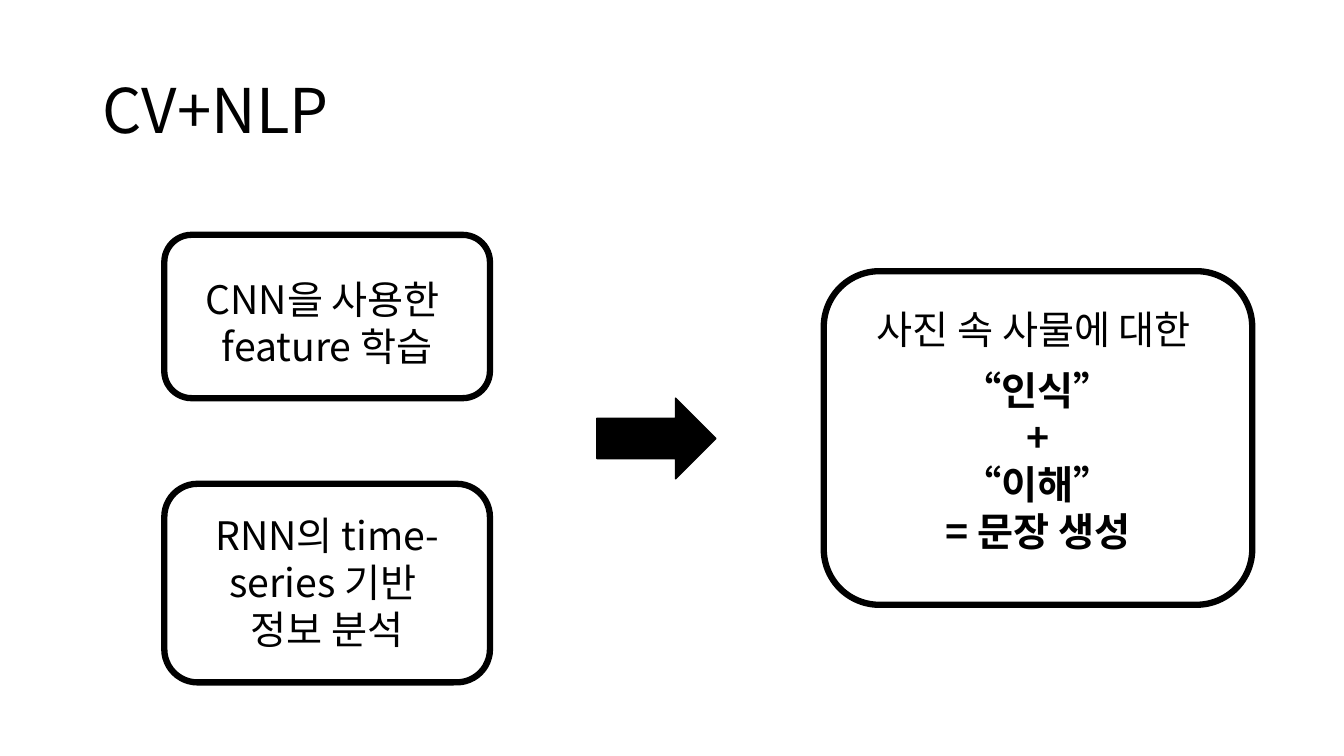
from pptx import Presentation
from pptx.dml.color import RGBColor
from pptx.enum.shapes import MSO_SHAPE
from pptx.enum.text import MSO_ANCHOR, PP_ALIGN
from pptx.oxml.ns import qn
from pptx.util import Inches, Pt

ROUND, ARROW = MSO_SHAPE.ROUNDED_RECTANGLE, MSO_SHAPE.RIGHT_ARROW
TOP, MIDDLE = MSO_ANCHOR.TOP, MSO_ANCHOR.MIDDLE
LEFT, CENTER = PP_ALIGN.LEFT, PP_ALIGN.CENTER
FONT = "Noto Sans CJK KR"
COLORS = {"ink": "000000", "paper": "FFFFFF"}

TITLE = "CV+NLP"
TITLE_AT = (0.92, 0.4, 11.5, 1.45)
ARROW_AT = (5.92, 3.95, 1.18, 0.8)
# place, top inset, then lines as (text, bold, points before)
BOXES = [
    ((1.63, 2.33, 3.23, 1.62), 0.32,
     [("CNN을 사용한 ", False, 0), ("feature 학습", False, 0)]),
    ((1.63, 4.8, 3.23, 1.97), 0.18,
     [("RNN의 time-series 기반 ", False, 0), ("정보 분석", False, 0)]),
    ((8.17, 2.69, 4.25, 3.31), 0.18,
     [("사진 속 사물에 대한 ", False, 0), ("“인식”", True, 9.6),
      ("+", True, 0), ("“이해”", True, 0), ("= 문장 생성", True, 0)]),
]


def color(name):
    return RGBColor.from_string(COLORS[name])


def write(para, text, align, **style):
    """Fill a paragraph with one run in the slide's font."""
    para.alignment = align
    run = para.add_run()
    run.text = text
    for key, value in {"name": FONT, **style}.items():
        setattr(run.font, key, value)
    run.font.color.rgb = color("ink")
    east = run.font._element.makeelement(qn("a:ea"), {"typeface": FONT})
    run.font._element.find(qn("a:latin")).addnext(east)


def draw(slide, kind, place, fill, width):
    shape = slide.shapes.add_shape(kind, *map(Inches, place))
    shape.shadow.inherit = False
    shape.fill.solid()
    shape.fill.fore_color.rgb = color(fill)
    shape.line.color.rgb = color("ink")
    shape.line.width = Pt(width)
    return shape


def add_box(slide, place, inset, lines):
    frame = draw(slide, ROUND, place, "paper", 4.5).text_frame
    for key, value in {"word_wrap": True, "vertical_anchor": TOP,
                       "margin_top": Inches(inset)}.items():
        setattr(frame, key, value)
    for i, (text, bold, before) in enumerate(lines):
        para = frame.add_paragraph() if i else frame.paragraphs[0]
        if before:
            para.space_before = Pt(before)
        write(para, text, CENTER, size=Pt(28), bold=bold)


def add_title(slide):
    title = slide.shapes.title
    title.left, title.top, title.width, title.height = map(Inches, TITLE_AT)
    title.text_frame.vertical_anchor = MIDDLE
    para = title.text_frame.paragraphs[0]
    para.line_spacing = 0.9
    write(para, TITLE, LEFT, size=Pt(44))


def main():
    deck = Presentation()
    deck.slide_width, deck.slide_height = Inches(13.33), Inches(7.5)
    slide = deck.slides.add_slide(deck.slide_layouts[5])
    add_title(slide)
    for box in BOXES:
        add_box(slide, *box)
    draw(slide, ARROW, ARROW_AT, "ink", 1)
    deck.save("out.pptx")


if __name__ == "__main__":
    main()
